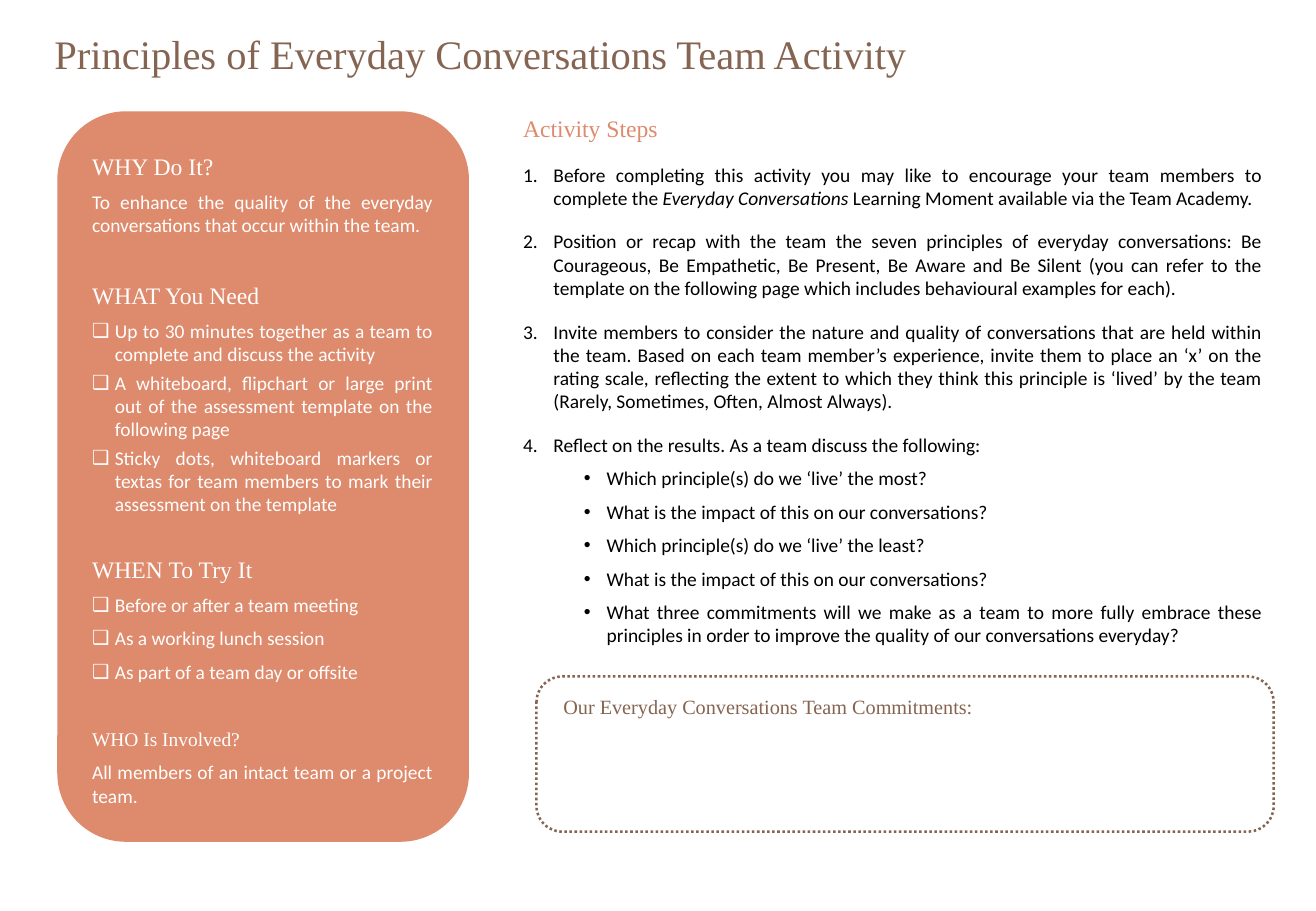
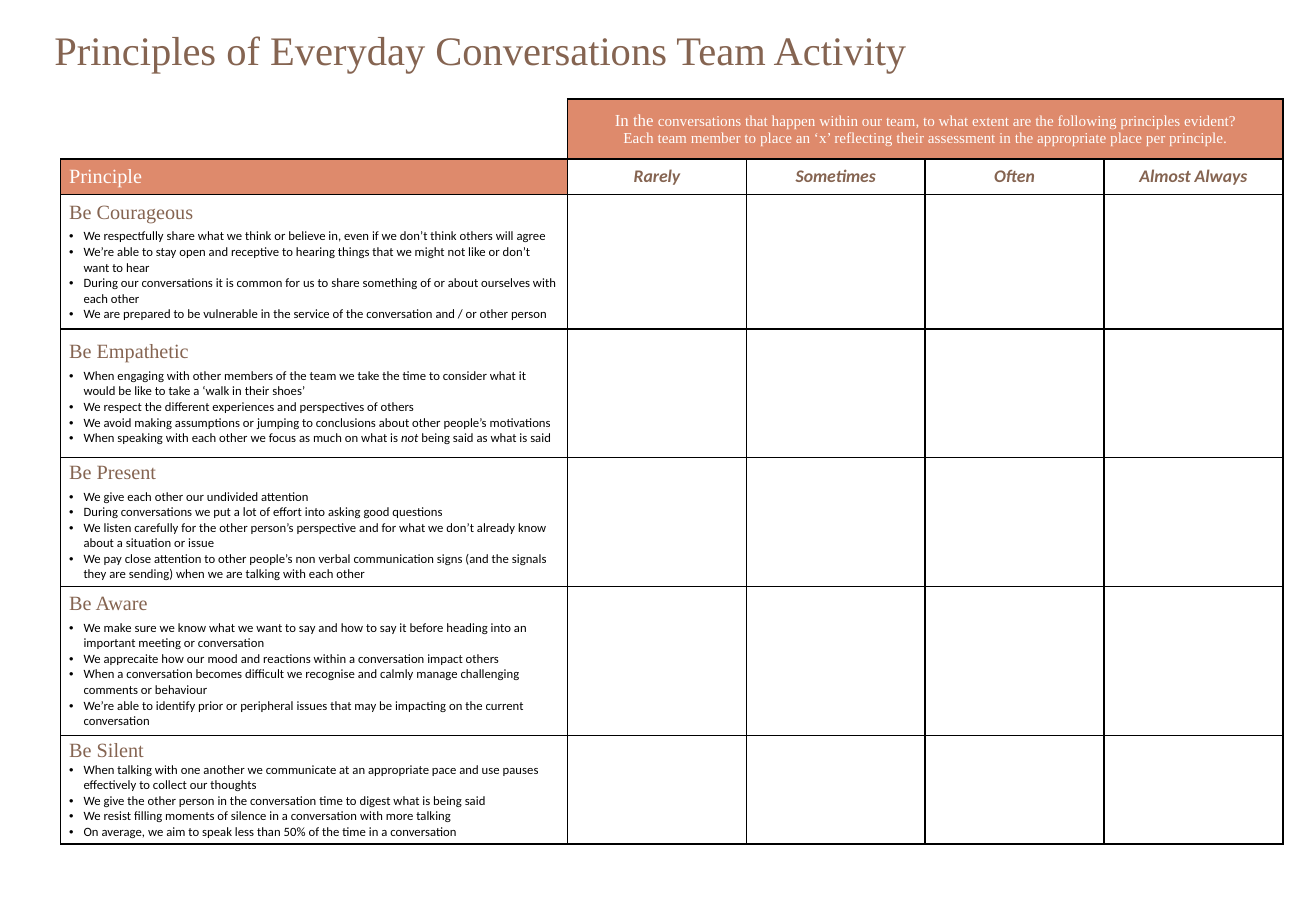
from lxml import etree
from pptx import Presentation
from pptx.dml.color import RGBColor
from pptx.enum.dml import MSO_LINE
from pptx.enum.shapes import MSO_SHAPE
from pptx.enum.text import MSO_ANCHOR, PP_ALIGN
from pptx.oxml.ns import qn
from pptx.util import Pt

ROUNDED = MSO_SHAPE.ROUNDED_RECTANGLE
DOTTED = MSO_LINE.ROUND_DOT
MIDDLE, TOP = MSO_ANCHOR.MIDDLE, MSO_ANCHOR.TOP
LEFT, CENTER, JUSTIFY = PP_ALIGN.LEFT, PP_ALIGN.CENTER, PP_ALIGN.JUSTIFY

# Shared look
BROWN, CORAL, WHITE, BLACK = "856451", "DE8A6C", "FFFFFF", "000000"
SERIF, SANS = "Times New Roman", "Calibri"
TITLE = "Principles of Everyday Conversations Team Activity"
NUMBERED = "arabicPeriod"
BLANK_LAYOUT = 6

# Content of slide 1: heading, heading size, bullet, space after items, items
SIDEBAR = [
    ("WHY Do It?", 14, None, 6, [
        "To enhance the quality of the everyday conversations that occur within the team."]),
    ("WHAT You Need", 14, "❑", 3, [
        "Up to 30 minutes together as a team to complete and discuss the activity",
        "A whiteboard, flipchart or large print out of the assessment template on the following page",
        "Sticky dots, whiteboard markers or textas for team members to mark their assessment on the template"]),
    ("WHEN To Try It", 14, "❑", 6, [
        "Before or after a team meeting",
        "As a working lunch session",
        "As part of a team day or offsite"]),
    ("WHO Is Involved?", 11.5, None, 6, [
        "All members of an intact team or a project team."]),
]
STEPS = [
    ["Before completing this activity you may like to encourage your team members to complete the ",
     ("Everyday Conversations ", {"italic": True}),
     "Learning Moment available via the Team Academy."],
    "Position or recap with the team the seven principles of everyday conversations: Be Courageous, "
    "Be Empathetic, Be Present, Be Aware and Be Silent (you can refer to the template on the following "
    "page which includes behavioural examples for each).",
    "Invite members to consider the nature and quality of conversations that are held within the team. "
    "Based on each team member’s experience, invite them to place an ‘x’ on the rating scale, reflecting "
    "the extent to which they think this principle is ‘lived’ by the team (Rarely, Sometimes, Often, "
    "Almost Always).",
    "Reflect on the results. As a team discuss the following:",
]
QUESTIONS = [
    "Which principle(s) do we ‘live’ the most?",
    "What is the impact of this on our conversations?",
    "Which principle(s) do we ‘live’ the least?",
    "What is the impact of this on our conversations?",
    "What three commitments will we make as a team to more fully embrace these principles in order to "
    "improve the quality of our conversations everyday?",
]

# Content of slide 2
SCALE_INTRO = [
    [("In the ", {"size": 10}),
     "conversations that happen within our team, to what extent are the following principles evident?"],
    "Each team member to place an ‘x’ reflecting their assessment in the appropriate place per principle.",
]
RATINGS = ["Rarely", "Sometimes", "Often", "Almost Always"]
# Name, row height, space after the name, behaviours
PRINCIPLES = [
    ("Be Courageous", 80, 3, [
        "We respectfully share what we think or believe in, even if we don’t think others will agree",
        "We’re able to stay open and receptive to hearing things that we might not like or don’t want to hear",
        "During our conversations it is common for us to share something of or about ourselves with each other",
        "We are prepared to be vulnerable in the service of the conversation and / or other person"]),
    ("Be Empathetic", 76, 3, [
        "When engaging with other members of the team we take the time to consider what it would be like "
        "to take a ‘walk in their shoes’",
        "We respect the different experiences and perspectives of others",
        "We avoid making assumptions or jumping to conclusions about other people’s motivations",
        ["When speaking with each other we focus as much on what is ", ("not ", {"italic": True}),
         "being said as what is said"]]),
    ("Be Present", 76.4, 3, [
        "We give each other our undivided attention",
        "During conversations we put a lot of effort into asking good questions",
        "We listen carefully for the other person’s perspective and for what we don’t already know about "
        "a situation or issue",
        "We pay close attention to other people’s non verbal communication signs (and the signals they "
        "are sending) when we are talking with each other"]),
    ("Be Aware", 88.3, 3, [
        "We make sure we know what we want to say and how to say it before heading into an important "
        "meeting or conversation",
        "We apprecaite how our mood and reactions within a conversation impact others",
        "When a conversation becomes difficult we recognise and calmly manage challenging comments or behaviour",
        "We’re able to identify prior or peripheral issues that may be impacting on the current conversation"]),
    ("Be Silent", 64.6, 0, [
        "When talking with one another we communicate at an appropriate pace and use pauses effectively "
        "to collect our thoughts",
        "We give the other person in the conversation time to digest what is being said",
        "We resist filling moments of silence in a conversation with more talking",
        "On average, we aim to speak less than 50% of the time in a conversation"]),
]


def color(hex_string):
    return RGBColor.from_string(hex_string)


def add_text(frame, text, size=11.5, font=SANS, ink=BLACK, bold=False, italic=False, align=LEFT,
             before=0, after=0, spacing=None, bullet=None, indent=0, hanging=0, level=0):
    """Add a paragraph; text is a string or a list of strings and (string, format) pairs."""
    first = frame.paragraphs[0]
    paragraph = frame.add_paragraph() if first.runs else first
    paragraph.level = level
    if bullet:
        properties = paragraph._p.get_or_add_pPr()
        properties.set("marL", str(Pt(indent)))
        properties.set("indent", str(-Pt(hanging)))
        if bullet == NUMBERED:
            etree.SubElement(properties, qn("a:buAutoNum"), type=NUMBERED)
        else:
            etree.SubElement(properties, qn("a:buFont"), typeface="Arial")
            etree.SubElement(properties, qn("a:buChar"), char=bullet)
    paragraph.alignment = align
    paragraph.space_before, paragraph.space_after = Pt(before), Pt(after)
    if spacing:
        paragraph.line_spacing = spacing
    for part in [text] if isinstance(text, str) else text:
        words, changes = (part, {}) if isinstance(part, str) else part
        run = paragraph.add_run()
        run.text = words
        run.font.name = font
        run.font.size = Pt(changes.get("size", size))
        run.font.bold = bold
        run.font.italic = changes.get("italic", italic)
        run.font.color.rgb = color(ink)


def add_frame(slide, left, top, width, height, anchor=TOP):
    box = slide.shapes.add_textbox(Pt(left), Pt(top), Pt(width), Pt(height))
    box.text_frame.word_wrap = True
    box.text_frame.vertical_anchor = anchor
    return box.text_frame


def add_panel(slide, left, top, width, height, fill=None, line=None):
    panel = slide.shapes.add_shape(ROUNDED, Pt(left), Pt(top), Pt(width), Pt(height))
    panel.shadow.inherit = False
    if fill:
        panel.fill.solid()
        panel.fill.fore_color.rgb = color(fill)
    else:
        panel.fill.background()
    if line:
        panel.line.color.rgb = color(line)
        panel.line.width = Pt(1.5)
        panel.line.dash_style = DOTTED
    else:
        panel.line.fill.background()


def add_slide(presentation, title_top):
    slide = presentation.slides.add_slide(presentation.slide_layouts[BLANK_LAYOUT])
    frame = add_frame(slide, 25.2, title_top, 710.6, 33.8, anchor=MIDDLE)
    add_text(frame, TITLE, size=24, font=SERIF, ink=BROWN, spacing=0.9)
    return slide


def style_cell(cell, fill=None, outer=BLACK):
    """Set margins, borders and fill; outer colours the left and top borders."""
    cell.vertical_anchor = MIDDLE
    cell.margin_left = cell.margin_right = Pt(5)
    cell.margin_top = cell.margin_bottom = Pt(2.2)
    properties = cell._tc.get_or_add_tcPr()
    for side, ink in (("L", outer), ("R", BLACK), ("T", outer), ("B", BLACK)):
        border = etree.SubElement(properties, qn(f"a:ln{side}"), w=str(Pt(1)))
        solid = etree.SubElement(border, qn("a:solidFill"))
        etree.SubElement(solid, qn("a:srgbClr"), val=ink)
    if fill:
        cell.fill.solid()
        cell.fill.fore_color.rgb = color(fill)
    else:
        cell.fill.background()


def build_activity(presentation):
    slide = add_slide(presentation, 16.6)

    # Sidebar
    add_panel(slide, 34, 66, 244, 433, fill=CORAL)
    sidebar = add_frame(slide, 47.5, 86.4, 216, 395)
    for index, (heading, size, bullet, after, items) in enumerate(SIDEBAR):
        add_text(sidebar, heading, size=size, font=SERIF, ink=WHITE, align=JUSTIFY,
                 before=20 if index else 0, after=6)
        for item in items:
            add_text(sidebar, item, ink=WHITE, align=JUSTIFY, after=after,
                     bullet=bullet, indent=13.5, hanging=13.5)

    # Steps and questions
    steps = add_frame(slide, 303, 64, 452, 381)
    add_text(steps, "Activity Steps", size=14, font=SERIF, ink=CORAL, align=JUSTIFY, after=6)
    for step in STEPS:
        add_text(steps, step, align=JUSTIFY, before=6, after=6, bullet=NUMBERED, indent=18, hanging=18)
    for question in QUESTIONS:
        add_text(steps, question, align=JUSTIFY, after=6, bullet="•", indent=49.5, hanging=13.5, level=1)

    # Commitments
    add_panel(slide, 318, 401, 437, 92, line=BROWN)
    commitments = add_frame(slide, 326.8, 408, 361, 22)
    add_text(commitments, "Our Everyday Conversations Team Commitments:", size=12, font=SERIF, ink=BROWN)


def build_assessment(presentation):
    slide = add_slide(presentation, 14.2)
    widths = [300.4] + [106] * len(RATINGS)
    heights = [35.6, 20.8] + [height for _, height, _, _ in PRINCIPLES]
    table = slide.shapes.add_table(len(heights), len(widths), Pt(36), Pt(58.8),
                                   Pt(sum(widths)), Pt(sum(heights))).table
    table.first_row = table.horz_banding = False
    for column, width in zip(table.columns, widths):
        column.width = Pt(width)
    for row, height in zip(table.rows, heights):
        row.height = Pt(height)
    for row in range(len(heights)):
        for column in range(len(widths)):
            header = (row == 0) != (column == 0) and row < 2
            style_cell(table.cell(row, column), fill=CORAL if header else None,
                       outer=WHITE if row == column == 0 else BLACK)

    # Header rows
    intro = table.cell(0, 1)
    intro.merge(table.cell(0, len(RATINGS)))
    for line in SCALE_INTRO:
        add_text(intro.text_frame, line, size=9, font=SERIF, ink=WHITE, align=CENTER)
    add_text(table.cell(1, 0).text_frame, "Principle", size=12, font=SERIF, ink=WHITE)
    for column, rating in enumerate(RATINGS, start=1):
        add_text(table.cell(1, column).text_frame, rating, size=10.5, ink=BROWN,
                 bold=True, italic=True, align=CENTER)

    # Principles
    for row, (name, _, after, behaviours) in enumerate(PRINCIPLES, start=2):
        frame = table.cell(row, 0).text_frame
        add_text(frame, name, size=12, font=SERIF, ink=BROWN, after=after)
        for behaviour in behaviours:
            add_text(frame, behaviour, size=7.5, bullet="•", indent=8.5, hanging=8.5)


def main():
    presentation = Presentation()
    presentation.slide_width, presentation.slide_height = Pt(780), Pt(540)
    build_activity(presentation)
    build_assessment(presentation)
    presentation.save("out.pptx")


if __name__ == "__main__":
    main()
